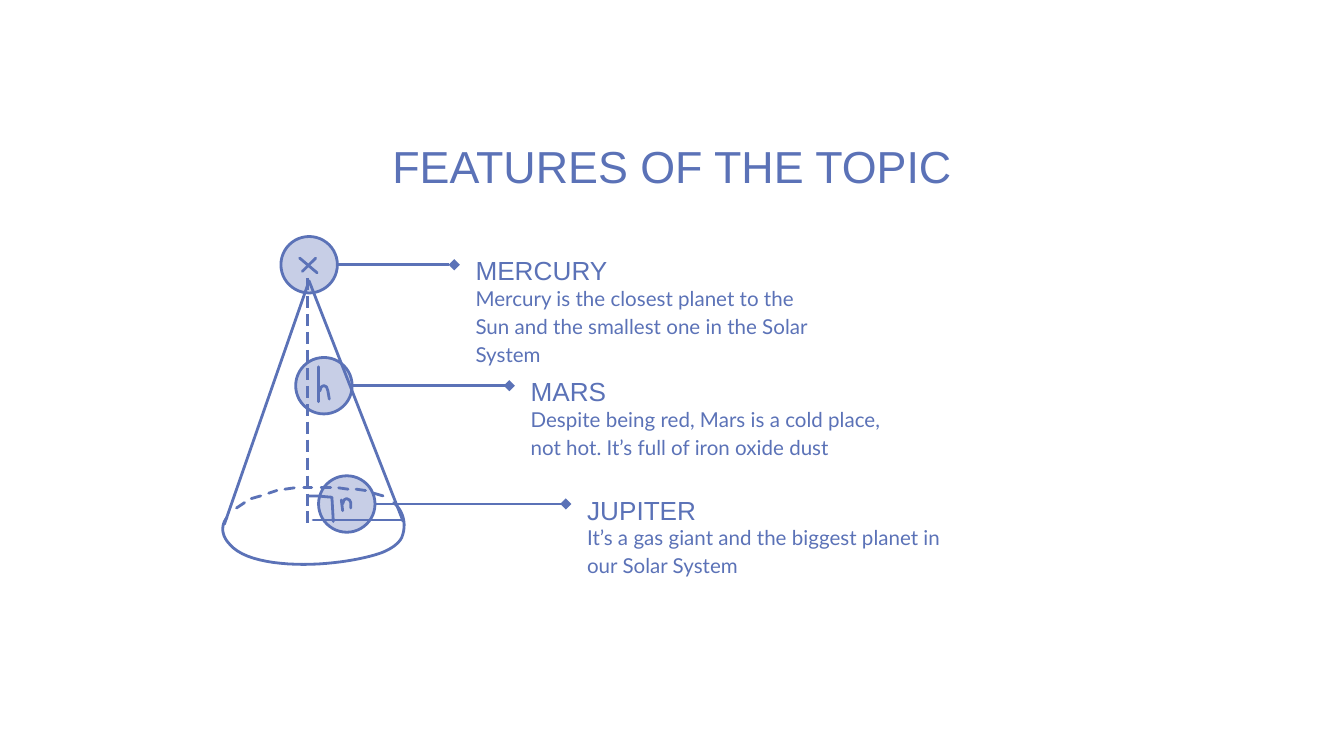
import pptx
import pptx.util
import pptx.dml.color
import pptx.enum.shapes
import pptx.enum.text
import pptx.oxml
import pptx.oxml.ns
from dataclasses import dataclass

Inches = pptx.util.Inches
Pt = pptx.util.Pt
qn = pptx.oxml.ns.qn


@dataclass(frozen=True)
class Theme:
    ink: pptx.dml.color.RGBColor = pptx.dml.color.RGBColor(0x5B, 0x72, 0xB7)
    heading_font: str = "Arial"
    body_font: str = "Lato"
    title_size: int = 24
    heading_size: int = 14
    body_size: int = 11
    line_width: float = 1.5
    marker_opacity: int = 34


THEME = Theme()
MARKER_SIZE = 0.42
LINE_GAP = 0.06

CALLOUTS = [
    (2.2, 2.66, 3.85, "MARS",
     "Despite being red, Mars is a cold place, not hot. It’s full of iron oxide dust"),
    (2.37, 3.54, 4.27, "JUPITER",
     "It’s a gas giant and the biggest planet in our Solar System"),
    (2.09, 1.76, 3.44, "MERCURY",
     "Mercury is the closest planet to the Sun and the smallest one in the Solar System"),
]

CONE_SIDES = [[(0.07, 2), (0.7, 0.19), (1.4, 1.98)]]
BASE_START = (1.33, 1.84)
BASE_CURVES = [
    [(1.4, 1.9), (1.43, 2), (1.39, 2.1)],
    [(1.36, 2.16), (1.28, 2.2), (1.22, 2.22)],
    [(1.1, 2.26), (0.88, 2.3), (0.66, 2.3)],
    [(0.43, 2.3), (0.2, 2.26), (0.11, 2.15)],
    [(0.05, 2.09), (0.04, 2.01), (0.09, 1.95)],
]
BACK_DASHES = [
    [(0.16, 1.88), (0.22, 1.84)], [(0.27, 1.81), (0.34, 1.79)],
    [(0.4, 1.77), (0.46, 1.75)], [(0.52, 1.74), (0.59, 1.73)],
    [(0.66, 1.73), (0.72, 1.73)], [(0.79, 1.73), (0.86, 1.73)],
    [(0.92, 1.73), (0.99, 1.74)], [(1.05, 1.74), (1.12, 1.75)],
    [(1.18, 1.77), (1.25, 1.79)],
]
LETTER_H = [
    [(0.77, 0.83), (0.77, 1.09)],
    [(0.78, 1.01), (0.79, 0.98), (0.81, 0.97), (0.83, 0.98), (0.84, 1.01), (0.85, 1.07)],
]
LETTER_N = [
    [(0.94, 1.82), (0.95, 1.9)],
    [(0.95, 1.85), (0.96, 1.82), (0.98, 1.81), (1, 1.82), (1.01, 1.84), (1.01, 1.88)],
]
CROSS = [[(0.63, 0.02), (0.76, 0.13)], [(0.75, 0.02), (0.65, 0.12)]]
RIGHT_ANGLE = [[(0.7, 1.79), (0.76, 1.79), (0.87, 1.8), (0.88, 1.98)]]


def make_element(tag, attributes="", content=""):
    return pptx.oxml.parse_xml(
        f'<a:{tag} {pptx.oxml.ns.nsdecls("a")} {attributes}>{content}</a:{tag}>')


def style_line(shape):
    shape.line.color.rgb = THEME.ink
    shape.line.width = Pt(THEME.line_width)
    return shape.element.spPr.find(qn("a:ln"))


def add_line(slide, start, end):
    connector = slide.shapes.add_connector(
        pptx.enum.shapes.MSO_CONNECTOR.STRAIGHT, *map(Inches, start + end))
    line = style_line(connector)
    connector.element.spPr.append(make_element("effectLst"))
    return line


def add_text(slide, box, text, font, size):
    text_box = slide.shapes.add_textbox(*map(Inches, box))
    frame = text_box.text_frame
    frame.word_wrap = True
    frame.margin_left = frame.margin_right = Inches(0.1)
    frame.margin_top = frame.margin_bottom = Inches(0.1)
    frame.text = text
    paragraph = frame.paragraphs[0]
    for run in paragraph.runs:
        run.font.name = font
        run.font.size = Pt(size)
        run.font.color.rgb = THEME.ink
    return frame


def add_title(slide, box, text):
    frame = add_text(slide, box, text, THEME.heading_font, THEME.title_size)
    frame.vertical_anchor = pptx.enum.text.MSO_ANCHOR.BOTTOM
    frame.paragraphs[0].alignment = pptx.enum.text.PP_ALIGN.CENTER


def add_marker(slide, left, top):
    marker = slide.shapes.add_shape(
        pptx.enum.shapes.MSO_SHAPE.OVAL,
        *map(Inches, (left, top, MARKER_SIZE, MARKER_SIZE)))
    marker.shadow.inherit = False
    marker.fill.solid()
    marker.fill.fore_color.rgb = THEME.ink
    color = marker.element.spPr.find(qn("a:solidFill")).find(qn("a:srgbClr"))
    color.append(make_element("alpha", f'val="{THEME.marker_opacity * 1000}"'))
    style_line(marker)


def add_callout(slide, left, top, text_left, heading, body):
    add_marker(slide, left, top)
    middle = top + MARKER_SIZE / 2
    line = add_line(slide, (left + MARKER_SIZE, middle), (text_left - LINE_GAP, middle))
    line.append(make_element("tailEnd", 'type="diamond"'))
    for box, text, font, size in (
        ((text_left, top + 0.24, 2.84, 0.56), body, THEME.body_font, THEME.body_size),
        ((text_left, top, 2.57, 0.31), heading, THEME.heading_font, THEME.heading_size),
    ):
        paragraph = add_text(slide, box, text, font, size).paragraphs[0]
        paragraph.line_spacing = 1.15
        paragraph.space_after = Pt(16)


def trace_curves(start, curves, steps=12):
    points = [start]
    for first, second, end in curves:
        corners = (points[-1], first, second, end)
        for step in range(1, steps + 1):
            t = step / steps
            weights = ((1 - t) ** 3, 3 * t * (1 - t) ** 2, 3 * t * t * (1 - t), t ** 3)
            points.append(tuple(
                sum(weight * corner[axis] for weight, corner in zip(weights, corners))
                for axis in (0, 1)))
    return points


def add_strokes(slide, left, top, strokes):
    placed = [[(Inches(left + x), Inches(top + y)) for x, y in stroke] for stroke in strokes]
    builder = slide.shapes.build_freeform(*placed[0][0])
    for index, stroke in enumerate(placed):
        if index:
            builder.move_to(*stroke[0])
        builder.add_line_segments(stroke[1:], close=False)
    shape = builder.convert_to_shape()
    shape.shadow.inherit = False
    shape.fill.background()
    style_line(shape).set("cap", "rnd")


def add_cone(slide, left, top):
    base = [trace_curves(BASE_START, BASE_CURVES)]
    for strokes in (CONE_SIDES, BACK_DASHES, base, LETTER_H, CROSS, RIGHT_ANGLE, LETTER_N):
        add_strokes(slide, left, top, strokes)
    radius = add_line(slide, (left + 0.73, top + 1.97), (left + 1.4, top + 1.97))
    radius.set("cap", "rnd")
    axis = add_line(slide, (left + 0.69, top + 0.17), (left + 0.69, top + 1.99))
    axis.append(make_element("custDash", content='<a:ds d="430000" sp="210000"/>'))


def main():
    presentation = pptx.Presentation()
    presentation.slide_width = Inches(10)
    presentation.slide_height = presentation.slide_width * 9 // 16
    slide = presentation.slides.add_slide(presentation.slide_layouts[6])
    add_title(slide, (0.47, 0.9, 9.06, 0.63), "FEATURES OF THE TOPIC")
    add_cone(slide, 1.6, 1.9)
    for callout in CALLOUTS:
        add_callout(slide, *callout)
    presentation.save("out.pptx")


if __name__ == "__main__":
    main()
